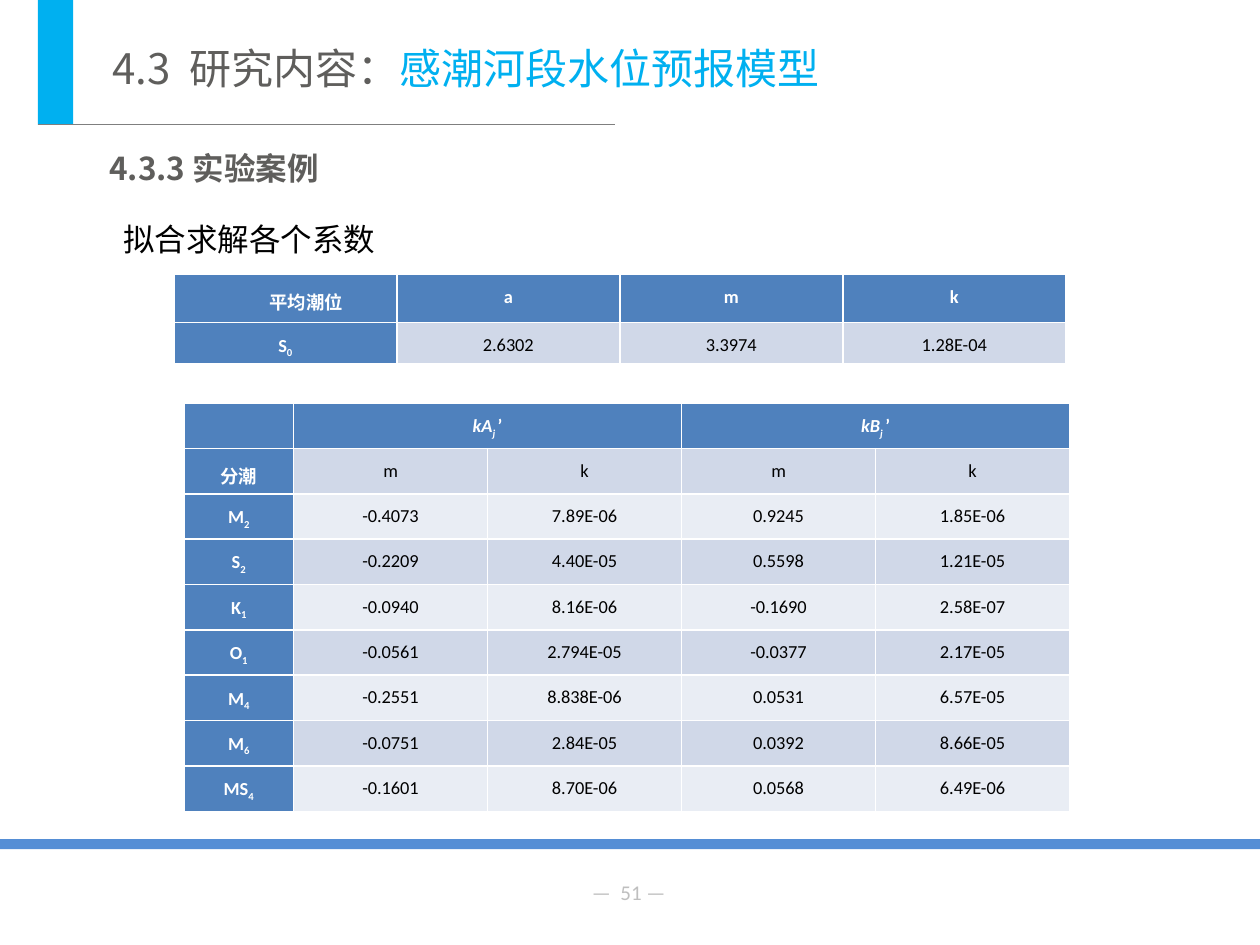
from dataclasses import dataclass

from lxml import etree
from pptx import Presentation
from pptx import util as u
from pptx.dml.color import RGBColor
from pptx.enum import shapes, text
from pptx.oxml.ns import qn


@dataclass(frozen=True)
class Theme:
    sky: str = "00B0F0"
    grey: str = "5F5E5C"
    rule: str = "7F7F7F"
    pale: str = "BFBFBF"
    bar: str = "558ED5"
    head: str = "4F81BD"
    bands: tuple = ("E9EDF4", "D0D8E8")
    black: str = "000000"
    white: str = "FFFFFF"
    sans: str = "Noto Sans CJK SC"
    serif: str = "Times New Roman"
    latin: str = "Calibri"
    title: float = 24
    body: float = 18
    page: float = 12
    cell: float = 10.5


class Deck:
    def __init__(self, theme):
        self.theme = theme
        self.file = Presentation()
        self.file.slide_width, self.file.slide_height = u.Inches(10), u.Inches(7.5)
        self.slide = self.file.slides.add_slide(self.file.slide_layouts[5])

    def style(self, font, size, color, face, bold=False):
        font.size, font.bold, font.name = u.Pt(size), bold, face
        font.color.rgb = RGBColor.from_string(color)
        # East Asian letters need their own typeface
        east = etree.SubElement(font._element, qn("a:ea"))
        east.set("typeface", self.theme.sans)

    def rect(self, x, y, w, h, color):
        box = self.slide.shapes.add_shape(
            shapes.MSO_SHAPE.RECTANGLE, *map(u.Inches, (x, y, w, h)))
        box.shadow.inherit = False
        box.fill.solid()
        box.fill.fore_color.rgb = RGBColor.from_string(color)
        box.line.fill.background()

    def line(self, x1, y1, x2, y2, color, width):
        rule = self.slide.shapes.add_connector(
            shapes.MSO_CONNECTOR.STRAIGHT, *map(u.Inches, (x1, y1, x2, y2)))
        rule.line.color.rgb = RGBColor.from_string(color)
        rule.line.width = u.Pt(width)
        etree.SubElement(rule._element.spPr, qn("a:effectLst"))

    def title(self, x, y, w, h, parts):
        box = self.slide.shapes.title
        box.left, box.top, box.width, box.height = map(u.Inches, (x, y, w, h))
        frame = box.text_frame
        frame.word_wrap = True
        frame.auto_size = text.MSO_AUTO_SIZE.NONE
        frame.vertical_anchor = text.MSO_ANCHOR.TOP
        para = frame.paragraphs[0]
        para.alignment = text.PP_ALIGN.LEFT
        for words, color in parts:
            run = para.add_run()
            run.text = words
            self.style(run.font, self.theme.title, color, self.theme.sans)

    def label(self, x, y, w, h, words, size, color, face,
              bold=False, space=1.0, align=text.PP_ALIGN.LEFT, wrap=True):
        box = self.slide.shapes.add_textbox(*map(u.Inches, (x, y, w, h)))
        box.text_frame.word_wrap = wrap
        para = box.text_frame.paragraphs[0]
        para.text, para.alignment, para.line_spacing = words, align, space
        self.style(para.font, size, color, face, bold)

    def cell(self, cell, words, fill, head):
        """Fill a cell; in words, "_" starts a subscript and "’" ends it."""
        cell.fill.solid()
        cell.fill.fore_color.rgb = RGBColor.from_string(fill)
        cell.margin_left = cell.margin_right = u.Inches(0.07)
        cell.margin_top = cell.margin_bottom = 0
        para = cell.text_frame.paragraphs[0]
        para.alignment = text.PP_ALIGN.CENTER
        para.line_spacing, para.space_before = 1.5, u.Pt(6)
        prime = words.endswith("’")
        base, _, sub = words.rstrip("’").partition("_")
        parts = [(base, False, prime)]
        if sub:
            parts.append((sub, True, prime))
        if prime:
            parts.append(("’", False, False))
        for part, low, slant in parts:
            run = para.add_run()
            run.text = part
            self.style(run.font, self.theme.cell,
                       self.theme.white if head else self.theme.black,
                       self.theme.latin, head)
            run.font.italic = slant
            if low:
                run.font._element.set("baseline", "-25000")

    def table(self, x, y, cols, highs, rows):
        """Add a table with a head row and column; None joins to the left."""
        table = self.slide.shapes.add_table(
            len(rows), len(cols),
            *map(u.Inches, (x, y, sum(cols), sum(highs)))).table
        table.first_col = True
        for col, wide in zip(table.columns, cols):
            col.width = u.Inches(wide)
        for row, high in zip(table.rows, highs):
            row.height = u.Inches(high)
        for r, row in enumerate(rows):
            for c, words in enumerate(row):
                if words is None:
                    table.cell(r, c - 1).merge(table.cell(r, c))
                    continue
                head = r == 0 or c == 0
                fill = self.theme.head if head else self.theme.bands[r % 2]
                self.cell(table.cell(r, c), words, fill, head)
        return table


MEAN = [
    ("平均潮位", "a", "m", "k"),
    ("S_0", "2.6302", "3.3974", "1.28E-04"),
]
TIDES = [
    ("", "kA_j ’", None, "kB_j ’", None),
    ("分潮", "m", "k", "m", "k"),
    ("M_2", "-0.4073", "7.89E-06", "0.9245", "1.85E-06"),
    ("S_2", "-0.2209", "4.40E-05", "0.5598", "1.21E-05"),
    ("K_1", "-0.0940", "8.16E-06", "-0.1690", "2.58E-07"),
    ("O_1", "-0.0561", "2.794E-05", "-0.0377", "2.17E-05"),
    ("M_4", "-0.2551", "8.838E-06", "0.0531", "6.57E-05"),
    ("M_6", "-0.0751", "2.84E-05", "0.0392", "8.66E-05"),
    ("MS_4", "-0.1601", "8.70E-06", "0.0568", "6.49E-06"),
]


def main():
    look = Theme()
    deck = Deck(look)

    # Frame: corner block, title rule, footer bar and page number
    deck.rect(0.3, 0, 0.28, 0.99, look.sky)
    deck.line(0.3, 0.99, 4.88, 0.99, look.rule, 0.75)
    deck.rect(0, 6.66, 10, 0.08, look.bar)
    deck.label(4.6, 6.93, 0.86, 0.3, "—  51 —", look.page, look.pale,
               look.latin, wrap=False)

    # Headings
    deck.title(0.79, 0.29, 6.33, 0.5, [
        ("4.3  研究内容：", look.grey), ("感潮河段水位预报模型", look.sky)])
    deck.label(0.77, 1.04, 7.07, 0.46, "4.3.3 实验案例", look.body, look.grey,
               look.sans, bold=True, space=1.3)
    deck.label(0.88, 1.55, 8.29, 0.5, "拟合求解各个系数", look.body, look.black,
               look.serif, space=1.5, align=text.PP_ALIGN.JUSTIFY)

    # Coefficient tables
    mean = deck.table(1.38, 2.18, [1.77] * 4, [0.38, 0.33], MEAN)
    first = mean.cell(0, 0).text_frame.paragraphs[0]
    first._p.get_or_add_pPr().set("indent", str(u.Inches(0.33)))
    deck.table(1.46, 3.2, [0.87] + [1.54] * 4, [0.36] * len(TIDES), TIDES)

    deck.file.save("out.pptx")


if __name__ == "__main__":
    main()
